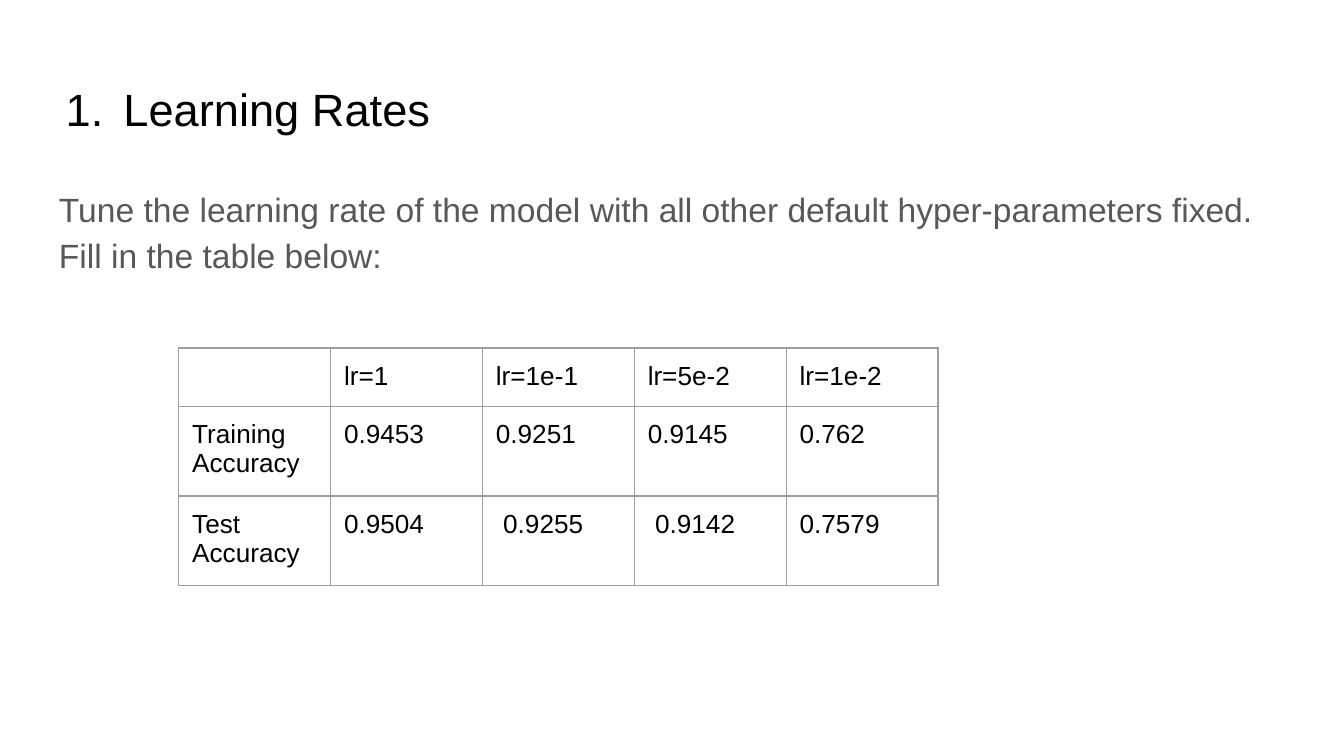
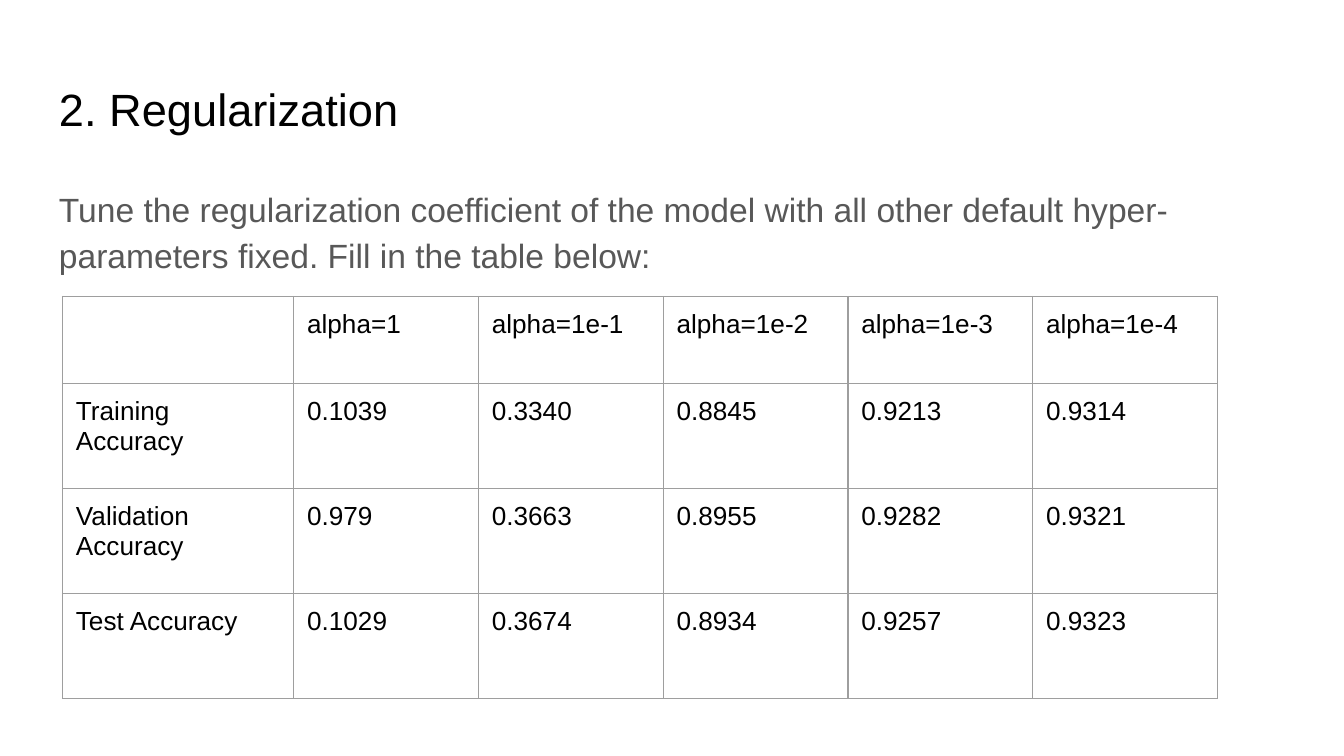
from dataclasses import dataclass

from lxml import etree
from pptx import Presentation
from pptx.dml.color import RGBColor
from pptx.enum.text import MSO_ANCHOR
from pptx.oxml.ns import qn
from pptx.util import Pt

TOP = MSO_ANCHOR.TOP
MIDDLE = MSO_ANCHOR.MIDDLE
EMU_PER_PX = 4572  # 200 px to the inch
BLANK_LAYOUT = 6
INSET = 20


@dataclass(frozen=True)
class Theme:
    font: str = "Arial"
    black: str = "000000"
    grey: str = "585858"
    white: str = "FFFFFF"
    border: str = "9E9E9E"
    border_width: float = 0.75
    title_size: float = 24.2
    body_size: float = 18
    cell_size: int = 14


THEME = Theme()


def px(length):
    return length * EMU_PER_PX


def apply(target, formats):
    for name, value in formats.items():
        setattr(target, name, value)


def margins():
    sides = ("left", "right", "top", "bottom")
    return {f"margin_{side}": px(INSET) for side in sides}


def write(para, text, size, color):
    span = para.add_run()
    span.text = text
    apply(span.font, {"name": THEME.font, "size": Pt(size)})
    span.font.color.rgb = RGBColor.from_string(color)


def add_text(page, place, text, size, color, anchor=TOP):
    box = page.shapes.add_textbox(*map(px, place))
    frame = box.text_frame
    apply(frame, {"word_wrap": True, "vertical_anchor": anchor, **margins()})
    para = frame.paragraphs[0]
    write(para, text, size, color)
    return para


def number_paragraph(para, left, hanging):
    properties = para._p.get_or_add_pPr()
    properties.set("marL", str(px(left)))
    properties.set("indent", str(-px(hanging)))
    bullet_color = etree.SubElement(properties, qn("a:buClr"))
    etree.SubElement(bullet_color, qn("a:srgbClr"), val=THEME.black)
    etree.SubElement(properties, qn("a:buAutoNum"), type="arabicPeriod")


def add_title(page, text, numbered=False):
    para = add_text(page, (68, 98, 1864, 126), text,
                    THEME.title_size, THEME.black, MIDDLE)
    if numbered:
        number_paragraph(para, left=96, hanging=86)


def add_body(page, text, height):
    para = add_text(page, (68, 252, 1864, height), text,
                    THEME.body_size, THEME.grey)
    para.line_spacing = 1.15


def draw_borders(cell):
    properties = cell._tc.get_or_add_tcPr()
    for index, side in enumerate(("lnL", "lnR", "lnT", "lnB")):
        line = etree.Element(qn(f"a:{side}"), w=str(Pt(THEME.border_width)))
        fill = etree.SubElement(line, qn("a:solidFill"))
        etree.SubElement(fill, qn("a:srgbClr"), val=THEME.border)
        properties.insert(index, line)


def fill_cell(cell, text):
    apply(cell, {"vertical_anchor": TOP, **margins()})
    cell.fill.background()
    draw_borders(cell)
    para = cell.text_frame.paragraphs[0]
    if text:
        write(para, text, THEME.cell_size, THEME.black)
    else:
        # An empty cell keeps the table's type size
        etree.SubElement(para._p, qn("a:endParaRPr"),
                         sz=str(THEME.cell_size * 100))


def add_table(page, left, top, widths, heights, rows):
    frame = page.shapes.add_table(len(heights), len(widths), px(left), px(top),
                                  px(sum(widths)), px(sum(heights)))
    table = frame.table
    apply(table, {"first_row": False, "horz_banding": False})
    for column, width in zip(table.columns, widths):
        column.width = px(width)
    for row, height, texts in zip(table.rows, heights, rows):
        row.height = px(height)
        for cell, text in zip(row.cells, texts):
            fill_cell(cell, text)


def add_page(deck):
    page = deck.slides.add_slide(deck.slide_layouts[BLANK_LAYOUT])
    page.background.fill.solid()
    page.background.fill.fore_color.rgb = RGBColor.from_string(THEME.white)
    return page


def learning_rates(deck):
    page = add_page(deck)
    add_title(page, "Learning Rates", numbered=True)
    add_body(page, "Tune the learning rate of the model with all other default "
                   "hyper-parameters fixed. Fill in the table below:", 748)
    # Rows with two lines grow to fit their text
    add_table(page, 266, 518, [226] * 5, [84] * 3, [
        ["", "lr=1", "lr=1e-1", "lr=5e-2", "lr=1e-2"],
        ["Training Accuracy", "0.9453", "0.9251", "0.9145", "0.762"],
        ["Test Accuracy", "0.9504", " 0.9255", " 0.9142", "0.7579"],
    ])


def regularization(deck):
    page = add_page(deck)
    add_title(page, "2. Regularization")
    add_body(page, "Tune the regularization coefficient of the model with all "
                   "other default hyper-parameters fixed. "
                   "Fill in the table below:", 190)
    add_table(page, 93, 441, [344] + [275] * 5, [130] + [156] * 3, [
        ["", "alpha=1", "alpha=1e-1", "alpha=1e-2", "alpha=1e-3", "alpha=1e-4"],
        ["Training Accuracy", "0.1039", "0.3340", "0.8845", "0.9213", "0.9314"],
        ["Validation Accuracy", "0.979", "0.3663", "0.8955", "0.9282", "0.9321"],
        ["Test Accuracy", "0.1029", "0.3674", "0.8934", "0.9257", "0.9323"],
    ])


def main():
    deck = Presentation()
    apply(deck, {"slide_width": px(2000), "slide_height": px(1125)})
    learning_rates(deck)
    regularization(deck)
    deck.save("out.pptx")


if __name__ == "__main__":
    main()
